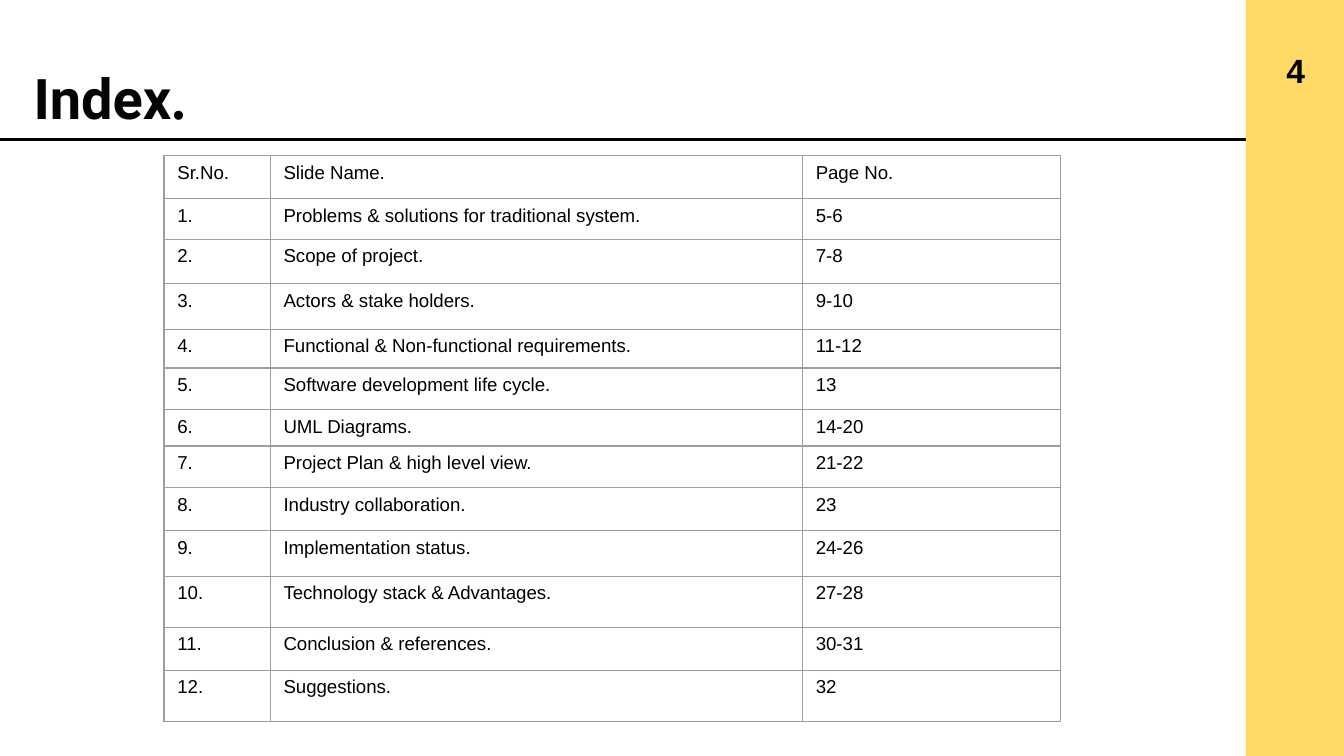
from lxml import etree
from pptx import Presentation
from pptx.dml.color import RGBColor
from pptx.enum.shapes import MSO_CONNECTOR, MSO_SHAPE
from pptx.enum.text import MSO_ANCHOR, MSO_AUTO_SIZE, PP_ALIGN
from pptx.oxml.ns import qn
from pptx.util import Inches, Pt

STRAIGHT = MSO_CONNECTOR.STRAIGHT
RECTANGLE = MSO_SHAPE.RECTANGLE
TOP, MIDDLE = MSO_ANCHOR.TOP, MSO_ANCHOR.MIDDLE
NO_AUTOFIT = MSO_AUTO_SIZE.NONE
LEFT, CENTER = PP_ALIGN.LEFT, PP_ALIGN.CENTER

SLIDE_WIDTH = 10
SLIDE_HEIGHT = SLIDE_WIDTH * 9 / 16
INK, BLACK, YELLOW, GREY = "040404", "000000", "FFD966", "9E9E9E"
INSETS = {f"margin_{side}": Inches(0.1) for side in ("left", "top", "right", "bottom")}
COLUMN_WIDTHS = [0.79, 3.96, 1.92]
ROW_HEIGHTS = [0.32, 0.3, 0.33, 0.34, 0.29, 0.31, 0.27, 0.31, 0.32, 0.34, 0.38, 0.32, 0.38]
HEADINGS = ("Sr.No.", "Slide Name.", "Page No.")
TOPICS = [
    ("Problems & solutions for traditional system.", "5-6"),
    ("Scope of project.", "7-8"),
    ("Actors & stake holders.", "9-10"),
    ("Functional & Non-functional requirements.", "11-12"),
    ("Software development life cycle.", "13"),
    ("UML Diagrams.", "14-20"),
    ("Project Plan & high level view.", "21-22"),
    ("Industry collaboration.", "23"),
    ("Implementation status.", "24-26"),
    ("Technology stack & Advantages.", "27-28"),
    ("Conclusion & references.", "30-31"),
    ("Suggestions.", "32"),
]


def rgb(value):
    """Turn a hex string into a colour."""
    return RGBColor.from_string(value)


def set_all(target, values):
    """Set every attribute in a dict of format values."""
    for name, value in values.items():
        setattr(target, name, value)


def add_run(paragraph, text, size, font, color, bold=False):
    """Add one formatted run of text to a paragraph."""
    run = paragraph.add_run()
    run.text = text
    set_all(run.font, {"size": Pt(size), "name": font, "bold": bold})
    run.font.color.rgb = rgb(color)


def add_heading(slide, left, top, width, height):
    """Place the title and the rule that underlines it."""
    rule_y = Inches(top + 0.67)
    rule = slide.shapes.add_connector(STRAIGHT, 0, rule_y, Inches(SLIDE_WIDTH), rule_y)
    rule.line.color.rgb = rgb(INK)
    rule.line.width = Pt(1.5)
    etree.SubElement(rule._element.spPr, qn("a:effectLst"))

    title = slide.shapes.title
    set_all(title, {"left": Inches(left), "top": Inches(top),
                    "width": Inches(width), "height": Inches(height)})
    set_all(title.text_frame, {**INSETS, "auto_size": NO_AUTOFIT,
                               "vertical_anchor": TOP, "word_wrap": True})
    paragraph = title.text_frame.paragraphs[0]
    paragraph.alignment = LEFT
    add_run(paragraph, "Index", 30, "Roboto", INK, True)
    add_run(paragraph, ".", 30, "Times New Roman", INK, True)


def add_page_band(slide, left, top, width, height):
    """Place the yellow side band with the page number."""
    band = slide.shapes.add_shape(
        RECTANGLE, Inches(left), Inches(top), Inches(width), Inches(height))
    band.shadow.inherit = False
    band.fill.solid()
    band.fill.fore_color.rgb = rgb(YELLOW)
    band.line.fill.background()

    number = slide.shapes.add_textbox(
        Inches(left + 0.17), Inches(top + 0.31), Inches(0.4), Inches(0.43))
    set_all(number.text_frame, {**INSETS, "vertical_anchor": MIDDLE, "word_wrap": True})
    paragraph = number.text_frame.paragraphs[0]
    paragraph.alignment = CENTER
    add_run(paragraph, "4", 18, "Arial", BLACK, True)


def add_borders(cell):
    """Draw a thin grey line on each side of a cell."""
    properties = cell._tc.get_or_add_tcPr()
    for position, side in enumerate(("lnL", "lnR", "lnT", "lnB")):
        line = etree.Element(qn(f"a:{side}"), w=str(Pt(0.75)))
        fill = etree.SubElement(line, qn("a:solidFill"))
        etree.SubElement(fill, qn("a:srgbClr"), val=GREY)
        properties.insert(position, line)


def add_index_table(slide, left, top, width, height):
    """Place the table of slide names and page numbers."""
    rows = [HEADINGS] + [(f"{i}.", *topic) for i, topic in enumerate(TOPICS, 1)]
    table = slide.shapes.add_table(
        len(rows), len(HEADINGS), Inches(left), Inches(top),
        Inches(width), Inches(height)).table
    set_all(table, {"first_row": False, "horz_banding": False})
    for column, column_width in zip(table.columns, COLUMN_WIDTHS):
        column.width = Inches(column_width)
    for row, row_height, texts in zip(table.rows, ROW_HEIGHTS, rows):
        row.height = Inches(row_height)
        for cell, text in zip(row.cells, texts):
            cell.fill.background()
            add_borders(cell)
            add_run(cell.text_frame.paragraphs[0], text, 10, "Arial", BLACK)


def main():
    """Build the index slide and save it."""
    deck = Presentation()
    set_all(deck, {"slide_width": Inches(SLIDE_WIDTH), "slide_height": Inches(SLIDE_HEIGHT)})
    slide = deck.slides.add_slide(deck.slide_layouts[5])
    add_heading(slide, 0.15, 0.37, 8.47, 0.74)
    add_page_band(slide, 9.27, 0, 0.73, SLIDE_HEIGHT)
    add_index_table(slide, 1.22, 1.16, sum(COLUMN_WIDTHS), sum(ROW_HEIGHTS))
    deck.save("out.pptx")


if __name__ == "__main__":
    main()
